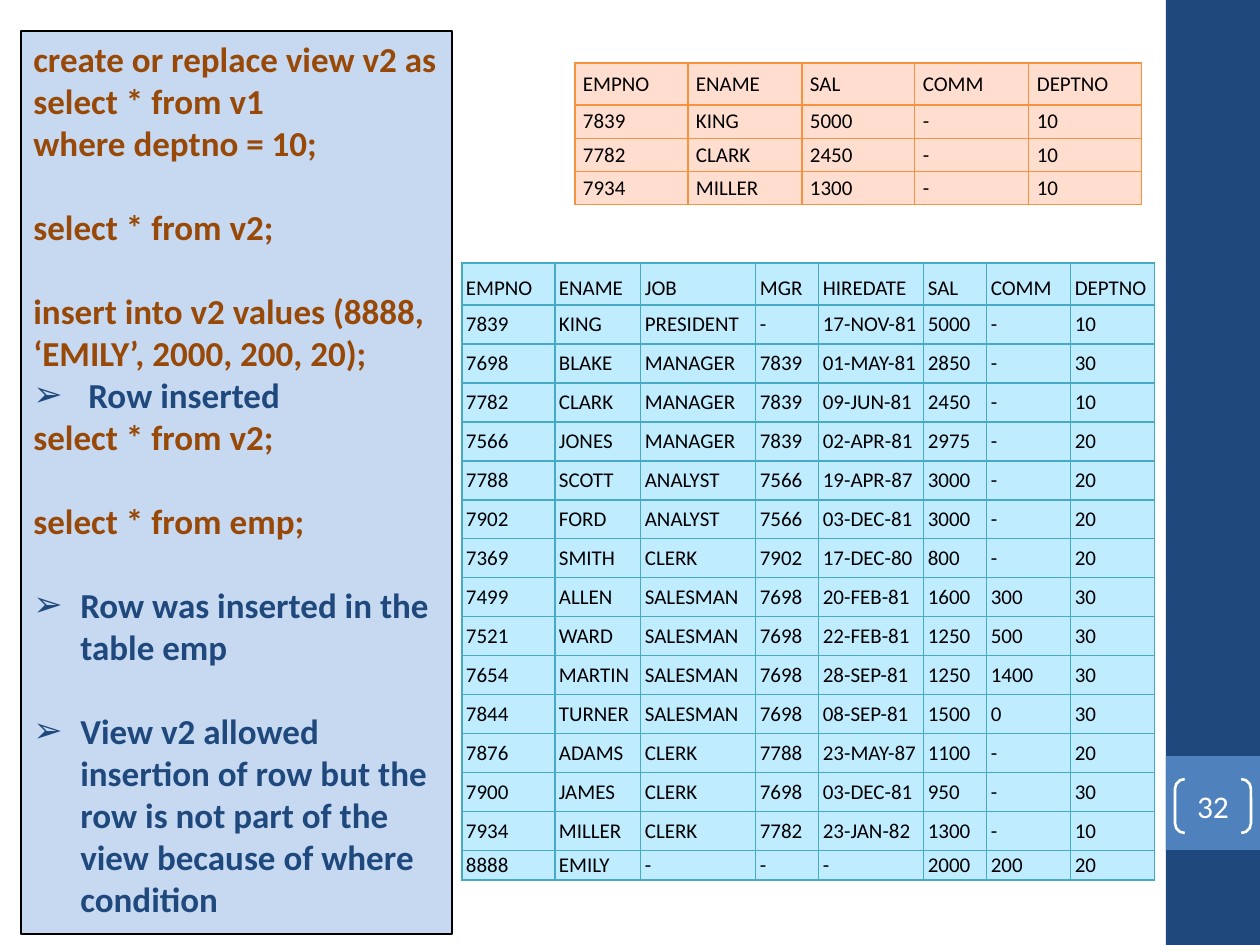
from collections import namedtuple
from lxml.etree import SubElement
from pptx import Presentation
from pptx.dml.color import RGBColor as Rgb
from pptx.enum.shapes import MSO_SHAPE as Shape
from pptx.enum.text import MSO_ANCHOR as Anchor, MSO_AUTO_SIZE as AutoSize, PP_ALIGN as Align
from pptx.oxml.ns import qn
from pptx.util import Pt

Theme = namedtuple("Theme", "font navy blue panel code black white code_size number_size cell_size")
theme = Theme("Calibri", "1F497D", "4F81BD", "C6D9F1", "984807", "000000", "FFFFFF", 20, 18, 12)
TableLook = namedtuple("TableLook", "fill border header_pad body_pad side_pad")
orange_look = TableLook("FFDECF", "F69240", 8, 4, 8)
cyan_look = TableLook("BFECFF", "46AAC5", 4, 2, 4)


def px(length):
    return round(length * 914400 / 126)


def add_text(para, text, size, color, bold=False):
    span = para.add_run()
    span.text = text
    span.font.name = theme.font
    span.font.size = Pt(size)
    span.font.bold = bold
    span.font.color.rgb = Rgb.from_string(color)


deck = Presentation()
deck.slide_width, deck.slide_height = px(1260), px(945)
page = deck.slides.add_slide(deck.slide_layouts[6])

# Side band, number tile and code panel
blocks = []
for left, top, width, height, color in [
    (1166, 0, 94, 945, theme.navy),
    (1166, 756, 94, 94, theme.blue),
    (21, 31, 431, 903, theme.panel),
]:
    block = page.shapes.add_shape(Shape.RECTANGLE, px(left), px(top), px(width), px(height))
    block.shadow.inherit = False
    block.fill.solid()
    block.fill.fore_color.rgb = Rgb.from_string(color)
    block.line.fill.background()
    blocks.append(block)

# Page number in brackets
bracket = page.shapes.add_shape(Shape.DOUBLE_BRACKET, px(1175), px(779), px(76), px(54))
bracket.shadow.inherit = False
bracket.adjustments[0] = 0.18
bracket.fill.background()
bracket.line.color.rgb = Rgb.from_string(theme.white)
bracket.line.width = Pt(1.5)
frame = bracket.text_frame
frame.margin_left = frame.margin_right = frame.margin_top = frame.margin_bottom = 0
frame.vertical_anchor = Anchor.MIDDLE
frame.paragraphs[0].alignment = Align.CENTER
add_text(frame.paragraphs[0], "32", theme.number_size, theme.white)

# Code panel text: wording, bullet indent in px (0 for code), gap before in points
panel = blocks[-1]
panel.line.color.rgb = Rgb.from_string(theme.black)
panel.line.width = Pt(1)
frame = panel.text_frame
frame.word_wrap = True
frame.auto_size = AutoSize.SHAPE_TO_FIT_TEXT
frame.vertical_anchor = Anchor.TOP
lines = [
    ("create or replace view v2 as", 0, 0),
    ("select * from v1", 0, 0),
    ("where deptno = 10;", 0, 0),
    ("select * from v2;", 0, 24),
    ("insert into v2 values (8888, ‘EMILY’, 2000, 200, 20);", 0, 24),
    ("Row inserted", 55, 0),
    ("select * from v2;", 0, 0),
    ("select * from emp;", 0, 24),
    ("Row was inserted in the table emp", 47, 24),
    ("View v2 allowed insertion of row but the row is not part of the view because of where condition", 47, 24),
]
for index, (text, indent, gap) in enumerate(lines):
    para = frame.add_paragraph() if index else frame.paragraphs[0]
    para.alignment = Align.LEFT
    if gap:
        para.space_before = Pt(gap)
    if indent:
        properties = para._p.get_or_add_pPr()
        properties.set("marL", str(px(indent)))
        properties.set("indent", str(-px(indent)))
        SubElement(properties, qn("a:buFont"), typeface="Arial")
        SubElement(properties, qn("a:buChar"), char="➢")
    add_text(para, text, theme.code_size, theme.navy if indent else theme.code, True)

# Query results
view_rows = """EMPNO ENAME SAL COMM DEPTNO
7839 KING 5000 - 10
7782 CLARK 2450 - 10
7934 MILLER 1300 - 10"""
employee_rows = """EMPNO ENAME JOB MGR HIREDATE SAL COMM DEPTNO
7839 KING PRESIDENT - 17-NOV-81 5000 - 10
7698 BLAKE MANAGER 7839 01-MAY-81 2850 - 30
7782 CLARK MANAGER 7839 09-JUN-81 2450 - 10
7566 JONES MANAGER 7839 02-APR-81 2975 - 20
7788 SCOTT ANALYST 7566 19-APR-87 3000 - 20
7902 FORD ANALYST 7566 03-DEC-81 3000 - 20
7369 SMITH CLERK 7902 17-DEC-80 800 - 20
7499 ALLEN SALESMAN 7698 20-FEB-81 1600 300 30
7521 WARD SALESMAN 7698 22-FEB-81 1250 500 30
7654 MARTIN SALESMAN 7698 28-SEP-81 1250 1400 30
7844 TURNER SALESMAN 7698 08-SEP-81 1500 0 30
7876 ADAMS CLERK 7788 23-MAY-87 1100 - 20
7900 JAMES CLERK 7698 03-DEC-81 950 - 30
7934 MILLER CLERK 7782 23-JAN-82 1300 - 10
8888 EMILY - - - 2000 200 20"""

for left, top, widths, heights, source, look in [
    (575, 63, [113, 114, 113, 114, 113], [42] + [33] * 3, view_rows, orange_look),
    (462, 263, [93, 86, 115, 63, 105, 63, 84, 84], [42] + [39] * 14 + [29], employee_rows, cyan_look),
]:
    grid = page.shapes.add_table(
        len(heights), len(widths), px(left), px(top), px(sum(widths)), px(sum(heights))
    ).table
    grid.first_row = grid.horz_banding = False
    for column, width in zip(grid.columns, widths):
        column.width = px(width)
    for row, height in zip(grid.rows, heights):
        row.height = px(height)
    for row_index, record in enumerate(source.splitlines()):
        pad = look.body_pad if row_index else look.header_pad
        for column_index, value in enumerate(record.split()):
            cell = grid.cell(row_index, column_index)
            cell.margin_left = cell.margin_right = px(look.side_pad)
            cell.margin_top = cell.margin_bottom = px(pad)
            cell.vertical_anchor = Anchor.MIDDLE if row_index else Anchor.BOTTOM
            for side in ("lnL", "lnR", "lnT", "lnB"):
                border = SubElement(cell._tc.get_or_add_tcPr(), qn("a:" + side), w=str(Pt(0.75)))
                SubElement(SubElement(border, qn("a:solidFill")), qn("a:srgbClr"), val=look.border)
            cell.fill.solid()
            cell.fill.fore_color.rgb = Rgb.from_string(look.fill)
            add_text(cell.text_frame.paragraphs[0], value, theme.cell_size, theme.black)

deck.save("out.pptx")
